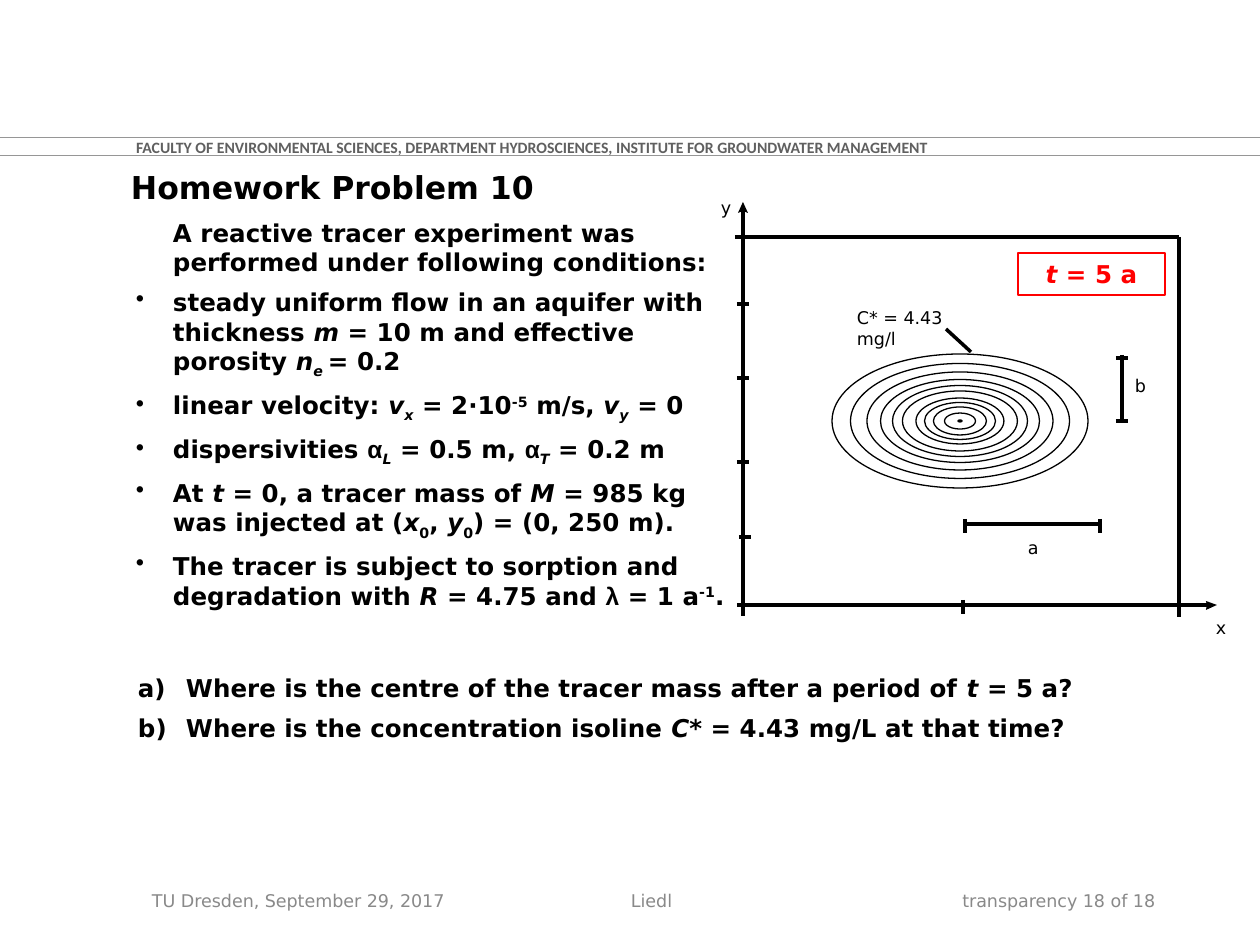
import pptx
import pptx.dml.color
import pptx.enum.shapes
import pptx.enum.text
import pptx.oxml.ns
import pptx.util
from lxml import etree

PX = 914400 / 126
COLORS = {
    "black": "000000",
    "white": "FFFFFF",
    "red": "FF0000",
    "rule": "969696",
    "header": "606060",
    "footer": "898989",
}
RGB = {name: pptx.dml.color.RGBColor.from_string(value) for name, value in COLORS.items()}
ALIGN = pptx.enum.text.PP_ALIGN
ANCHOR = pptx.enum.text.MSO_ANCHOR
SHAPE = pptx.enum.shapes.MSO_SHAPE
qn = pptx.oxml.ns.qn

presentation = pptx.Presentation()
presentation.slide_width = pptx.util.Inches(10)
presentation.slide_height = pptx.util.Inches(7.5)
slide = presentation.slides.add_slide(presentation.slide_layouts[6])
shapes = slide.shapes


def write_text(shape, paragraphs, size, color="black", bold=False, align=ALIGN.LEFT,
               anchor=ANCHOR.TOP, insets=(13, 6, 13, 6), font="DejaVu Sans", space_after=0):
    """Fill a shape with paragraphs, each a list of (text, style) runs.

    Style letters: i italic, _ subscript, ^ superscript, g Greek letter in Arial.
    """
    frame = shape.text_frame
    frame.word_wrap = True
    frame.vertical_anchor = anchor
    frame.margin_left, frame.margin_top, frame.margin_right, frame.margin_bottom = (
        round(inset * PX) for inset in insets)
    for index, runs in enumerate(paragraphs):
        paragraph = frame.add_paragraph() if index else frame.paragraphs[0]
        paragraph.alignment = align
        paragraph.space_after = pptx.util.Pt(space_after)
        for text, style in runs:
            run = paragraph.add_run()
            run.text = text
            run.font.size = pptx.util.Pt(size)
            run.font.name = "Arial" if "g" in style else font
            run.font.bold = bold
            run.font.italic = "i" in style
            run.font.color.rgb = RGB[color]
            if "_" in style:
                run.font._element.set("baseline", "-25000")
            if "^" in style:
                run.font._element.set("baseline", "30000")
    return frame


def add_line(x1, y1, x2, y2, color="black", width=0):
    line = shapes.add_connector(pptx.enum.shapes.MSO_CONNECTOR.STRAIGHT,
                                *(round(value * PX) for value in (x1, y1, x2, y2)))
    line.line.color.rgb = RGB[color]
    line.line.width = pptx.util.Pt(width)
    etree.SubElement(line._element.spPr, qn("a:effectLst"))


# Header and footer
for y in (155, 137):
    add_line(0, y, 1260, y, "rule", 0.5)
header = shapes.add_textbox(*(round(value * PX) for value in (136, 140, 1029, 21)))
write_text(header, [[("FACULTY OF ENVIRONMENTAL SCIENCES, DEPARTMENT HYDROSCIENCES, "
                      "INSTITUTE FOR GROUNDWATER MANAGEMENT", "")]],
           9, "header", True, anchor=ANCHOR.MIDDLE, insets=(0, 0, 13, 6), font="Calibri")

for left, width, align, text in (
    (139, 333, ALIGN.LEFT, "TU Dresden, September 29, 2017"),
    (452, 399, ALIGN.CENTER, "Liedl"),
    (874, 294, ALIGN.RIGHT, "transparency 18 of 18"),
):
    footer = shapes.add_textbox(*(round(value * PX) for value in (left, 876, width, 50)))
    write_text(footer, [[(text, "")]], 10, "footer", align=align, anchor=ANCHOR.MIDDLE)

title = shapes.add_textbox(*(round(value * PX) for value in (131, 162, 1043, 53)))
write_text(title, [[("Homework Problem 10", "")]], 18, bold=True, insets=(0, 6, 13, 6))

# Problem statement and questions
questions = [
    [("Where is the centre of the tracer mass after a period of ", ""), ("t", "i"),
     (" = 5 a?", "")],
    [("Where is the concentration isoline ", ""), ("C", "i"),
     ("* = 4.43 mg/L at that time?", "")],
]
conditions = [
    [("A reactive tracer experiment was performed under following conditions:", "")],
    [("steady uniform flow in an aquifer with thickness ", ""), ("m", "i"),
     (" = 10 m and effective porosity ", ""), ("n", "i"), ("e ", "i_"), ("= 0.2", "")],
    [("linear velocity: ", ""), ("v", "i"), ("x", "i_"), (" = 2·10", ""), ("-5", "^"),
     (" m/s, ", ""), ("v", "i"), ("y", "i_"), (" = 0", "")],
    [("dispersivities ", ""), ("α", "g"), ("L", "i_"), (" = 0.5 m, ", ""),
     ("α", "g"), ("T", "i_"), (" = 0.2 m", "")],
    [("At ", ""), ("t", "i"), (" = 0, a tracer mass of ", ""), ("M", "i"),
     (" = 985 kg was injected at (", ""), ("x", "i"), ("0", "_"), (", ", ""),
     ("y", "i"), ("0", "_"), (") = (0, 250 m).", "")],
    [("The tracer is subject to sorption and degradation with ", ""), ("R", "i"),
     (" = 4.75 and ", ""), ("λ", "g"), (" = 1 a", ""), ("-1", "^"), (".", "")],
]
for box, paragraphs, indent, first_marked, tag, attributes in (
    ((125, 667, 1096, 82), questions, 48, 0, "a:buAutoNum", {"type": "alphaLcParenR"}),
    ((123, 212, 616, 406), conditions, 37, 1, "a:buChar", {"char": "•"}),
):
    body = shapes.add_textbox(*(round(value * PX) for value in box))
    frame = write_text(body, paragraphs, 14, bold=True, space_after=6)
    for index, paragraph in enumerate(frame.paragraphs):
        properties = paragraph._p.get_or_add_pPr()
        properties.set("marL", str(round(indent * PX)))
        if index >= first_marked:
            properties.set("indent", str(round(-indent * PX)))
            etree.SubElement(properties, qn(tag), attributes)

# Axes, frame, ticks and dimension marks
for ends in (
    (743, 209, 743, 616), (743, 605, 1207, 605),
    (735, 237, 1179, 237), (1179, 237, 1179, 617),
    (1116, 421, 1128, 421), (1116, 358, 1128, 358), (1122, 355, 1122, 423),
    (965, 519, 965, 533), (1100, 519, 1100, 533), (963, 524, 1102, 524),
    (963, 600, 963, 614), (946, 329, 971, 352),
):
    add_line(*ends)
for left, y in ((737, 605), (739, 537), (737, 462), (737, 378), (737, 304)):
    add_line(left, y, left + 12, y)

for start, *points in (
    ((748, 213), (743, 211), (738, 213), (743, 202)),
    ((1206, 610), (1207, 605), (1206, 601), (1217, 605)),
):
    builder = shapes.build_freeform(*start, scale=PX)
    builder.add_line_segments(points, close=True)
    arrowhead = builder.convert_to_shape()
    arrowhead.shadow.inherit = False
    arrowhead.fill.solid()
    arrowhead.fill.fore_color.rgb = RGB["black"]
    arrowhead.line.fill.background()

# Concentration isolines around the plume centre
CENTER_X, CENTER_Y, ASPECT = 960, 421, 0.525
DOT_WIDTH = 4
for width in (256, 219, 186, 159, 135, 115, 88, 71, 53, 31, DOT_WIDTH):
    height = round(width * ASPECT)
    isoline = shapes.add_shape(SHAPE.OVAL, *(round(value * PX) for value in (
        CENTER_X - width / 2, CENTER_Y - height / 2, width, height)))
    isoline.shadow.inherit = False
    if width == DOT_WIDTH:
        isoline.fill.solid()
        isoline.fill.fore_color.rgb = RGB["black"]
    else:
        isoline.fill.background()
    isoline.line.color.rgb = RGB["black"]
    isoline.line.width = 0

for left, top, width, text in (
    (721, 197, 14, "y"), (1216, 617, 14, "x"), (1135, 375, 14, "b"),
    (1028, 537, 14, "a"), (857, 307, 121, "C* = 4.43 mg/l"),
):
    label = shapes.add_textbox(*(round(value * PX) for value in (left, top, width, 21)))
    write_text(label, [[(text, "")]], 10, insets=(0, 0, 0, 0))

time_box = shapes.add_shape(SHAPE.RECTANGLE, *(round(value * PX) for value in (1018, 253, 147, 42)))
time_box.shadow.inherit = False
time_box.fill.solid()
time_box.fill.fore_color.rgb = RGB["white"]
time_box.line.color.rgb = RGB["red"]
time_box.line.width = pptx.util.Pt(1.25)
write_text(time_box, [[("t", "i"), (" = 5 a", "")]], 14, "red", True, ALIGN.CENTER)

presentation.save("out.pptx")
